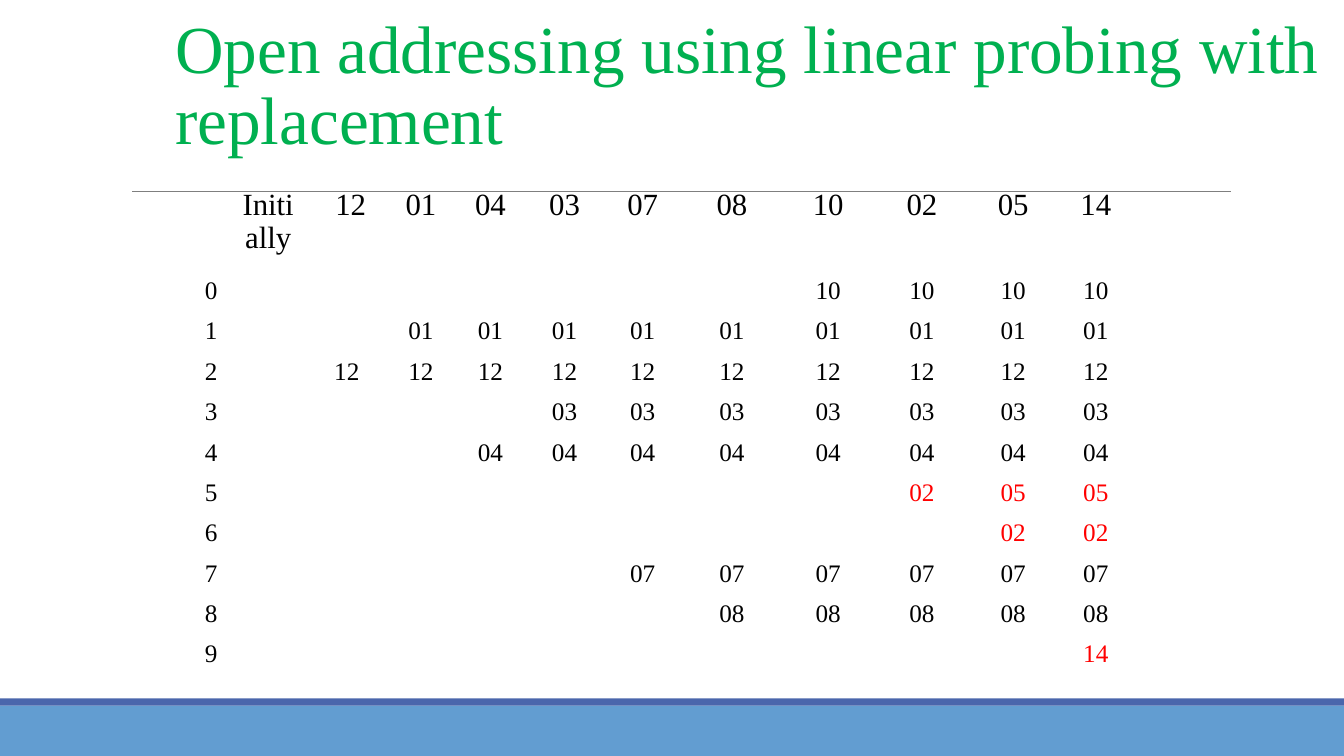
"""Build a slide tracing linear probing with replacement in a hash table."""
from pptx import Presentation
from pptx.dml.color import RGBColor
from pptx.enum.shapes import MSO_CONNECTOR, MSO_SHAPE
from pptx.enum.text import MSO_ANCHOR, PP_ALIGN
from pptx.oxml.ns import qn
from pptx.util import Inches, Pt
from lxml import etree

STRAIGHT = MSO_CONNECTOR.STRAIGHT
RECTANGLE = MSO_SHAPE.RECTANGLE
BOTTOM = MSO_ANCHOR.BOTTOM
CENTER = PP_ALIGN.CENTER
FONT = "Times New Roman"
COLORS = {
    "footer": "629DD1",
    "footer_edge": "4A66AC",
    "rule": "7F7F7F",
    "title": "00B050",
    "text": "000000",
    "moved": "FF0000",
}


def color(name):
    return RGBColor.from_string(COLORS[name])


def set_font(paragraph, size, color_name):
    paragraph.font.name = FONT
    paragraph.font.size = Pt(size)
    paragraph.font.color.rgb = color(color_name)


deck = Presentation()
deck.slide_width, deck.slide_height = Inches(13.33), Inches(7.5)
page = deck.slides.add_slide(deck.slide_layouts[6])

for name, top, height in [("footer", 7, 0.5), ("footer_edge", 6.93, 0.07)]:
    band = page.shapes.add_shape(RECTANGLE, 0, Inches(top), deck.slide_width, Inches(height))
    band.shadow.inherit = False
    band.fill.solid()
    band.fill.fore_color.rgb = color(name)
    band.line.fill.background()

rule = page.shapes.add_connector(STRAIGHT, Inches(1.31), Inches(1.9), Inches(12.21), Inches(1.9))
rule.line.color.rgb = color("rule")
rule.line.width = Pt(0.75)
etree.SubElement(rule._element.spPr, qn("a:effectLst"))

title_box = page.shapes.add_textbox(Inches(1.64), Inches(0.2), Inches(11.69), Inches(1.42))
title_box.text_frame.word_wrap = True
title_box.text_frame.vertical_anchor = BOTTOM
title = title_box.text_frame.paragraphs[0]
title.text = "Open addressing using linear probing with replacement"
title.line_spacing = 0.88
set_font(title, 48, "title")

column_widths = [0.35, 0.78, 0.78, 0.69, 0.69, 0.78, 0.77, 1, 0.91, 0.95, 0.86, 0.78]
headings = ["", "Initially", " 12", "01", "04", "03", "07", "08", "10", "02", "05", "14"]
slot_histories = [
    ["10"] * 4,
    ["01"] * 9,
    ["12"] * 10,
    ["03"] * 7,
    ["04"] * 8,
    ["02", "05", "05"],
    ["02"] * 2,
    ["07"] * 6,
    ["08"] * 5,
    ["14"],
]
moved_slots = {5, 6, 9}

rows = [headings]
for slot, history in enumerate(slot_histories):
    blanks = [""] * (len(headings) - 1 - len(history))
    rows.append([str(slot), *blanks, *history])

frame = page.shapes.add_table(len(rows), len(headings), Inches(1.92), Inches(1.83),
                              Inches(sum(column_widths)), Inches(3.78))
table = frame.table
table.first_row = table.horz_banding = False
for column, width in zip(table.columns, column_widths):
    column.width = Inches(width)

for row_index, values in enumerate(rows):
    table.rows[row_index].height = Inches(0.29 if row_index else 0.88)
    for column_index, value in enumerate(values):
        cell = table.cell(row_index, column_index)
        cell.fill.background()
        paragraph = cell.text_frame.paragraphs[0]
        paragraph.text = value
        paragraph.alignment = CENTER
        paragraph.line_spacing = 0.96
        is_moved = column_index and row_index - 1 in moved_slots
        set_font(paragraph, 18 if row_index else 22, "moved" if is_moved else "text")

table_style = table._tbl.tblPr.find(qn("a:tableStyleId"))
table_style.text = "{2D5ABB26-0587-4C30-8999-92F81FD0307C}"

deck.save("out.pptx")
